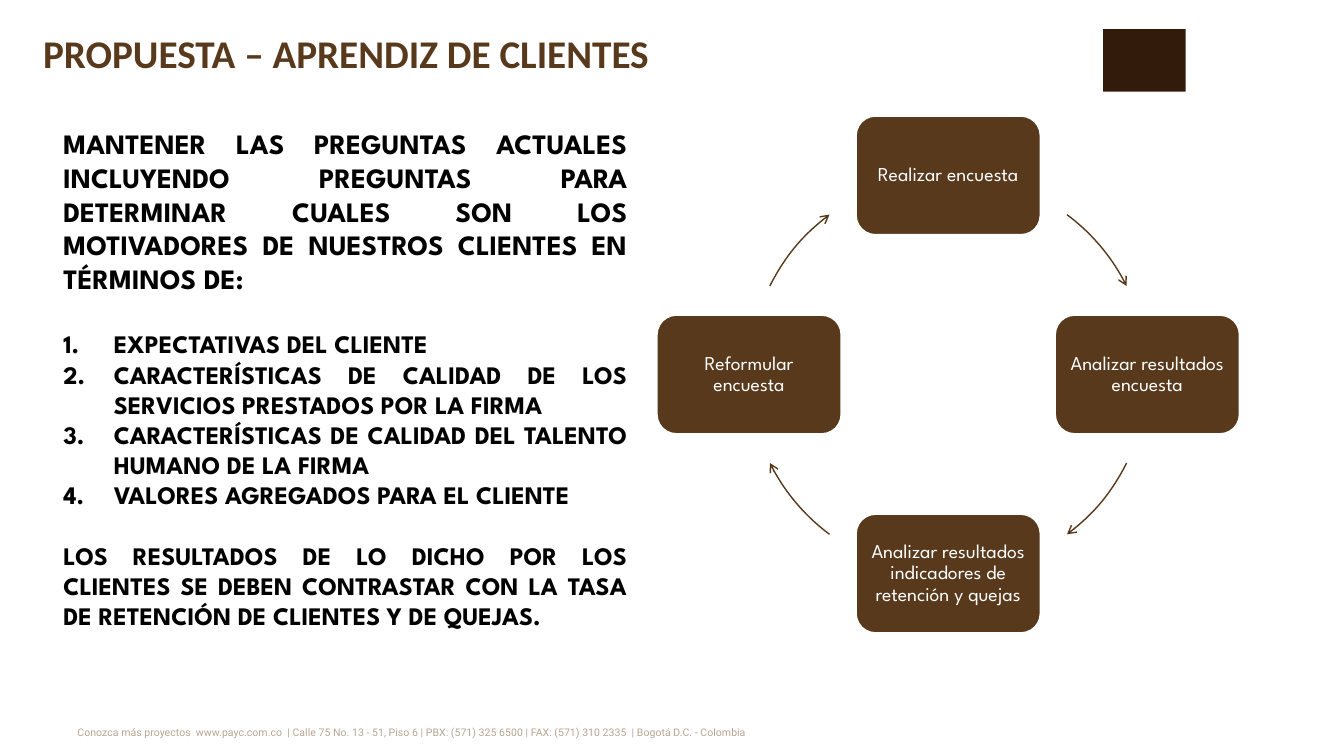
from dataclasses import dataclass
from math import cos, radians, sin

from lxml.etree import SubElement
from pptx import Presentation
from pptx.dml.color import RGBColor
from pptx.enum.shapes import MSO_SHAPE as Preset
from pptx.enum.text import MSO_ANCHOR as Anchor, PP_ALIGN as Align
from pptx.oxml.ns import qn
from pptx.util import Inches, Pt


@dataclass(frozen=True)
class Theme:
    brown: str = "58391C"
    dark: str = "321B0B"
    tan: str = "B8A592"
    white: str = "FFFFFF"
    black: str = "000000"
    title_font: str = "Calibri"
    body_font: str = "League Spartan"
    footer_font: str = "Roboto"
    title_size: int = 28
    lead_size: int = 20
    body_size: int = 18
    node_size: int = 14
    footer_size: int = 13


THEME = Theme()
TITLE = "PROPUESTA – APRENDIZ DE CLIENTES"
FOOTER = (
    "Conozca más proyectos  www.payc.com.co  | Calle 75 No. 13 - 51, Piso 6 | "
    "PBX: (571) 325 6500 | FAX: (571) 310 2335  | Bogotá D.C. - Colombia"
)
LEAD = (
    "MANTENER LAS PREGUNTAS ACTUALES INCLUYENDO PREGUNTAS PARA DETERMINAR "
    "CUALES SON LOS MOTIVADORES DE NUESTROS CLIENTES EN TÉRMINOS DE:"
)
TOPICS = [
    "EXPECTATIVAS DEL CLIENTE",
    "CARACTERÍSTICAS DE CALIDAD DE LOS SERVICIOS PRESTADOS POR LA FIRMA",
    "CARACTERÍSTICAS DE CALIDAD DEL TALENTO HUMANO DE LA FIRMA",
    "VALORES AGREGADOS PARA EL CLIENTE",
]
CLOSING = (
    "LOS RESULTADOS DE LO DICHO POR LOS CLIENTES SE DEBEN CONTRASTAR CON "
    "LA TASA DE RETENCIÓN DE CLIENTES Y DE QUEJAS."
)
STEPS = [
    "Realizar encuesta",
    "Analizar resultados encuesta",
    "Analizar resultados indicadores de retención y quejas",
    "Reformular encuesta",
]
ARROW_SPANS = [(306.6, 333.6), (26.4, 53.4), (126.6, 153.6), (206.4, 233.4)]


def apply(target, values):
    for name, value in values.items():
        setattr(target, name, value)


def write(para, text, font, size, color, bold=False, **layout):
    apply(para, layout)
    span = para.add_run()
    span.text = text
    apply(span.font, {"name": font, "size": Pt(size), "bold": bold})
    span.font.color.rgb = RGBColor.from_string(color)
    return span


def add_frame(page, box):
    frame = page.shapes.add_textbox(*map(Inches, box)).text_frame
    frame.word_wrap = True
    return frame


def add_preset(page, preset, box, fill=None, line=None, width=1):
    shape = page.shapes.add_shape(preset, *map(Inches, box))
    shape.shadow.inherit = False
    if fill:
        shape.fill.solid()
        shape.fill.fore_color.rgb = RGBColor.from_string(fill)
    else:
        shape.fill.background()
    if line:
        shape.line.color.rgb = RGBColor.from_string(line)
        shape.line.width = Pt(width)
    else:
        shape.line.fill.background()
    return shape


def add_title(page, box):
    frame = add_frame(page, box)
    write(frame.paragraphs[0], TITLE, THEME.title_font, THEME.title_size, THEME.brown, bold=True)


def add_footer(page, box):
    frame = add_frame(page, box)
    span = write(frame.paragraphs[0], FOOTER, THEME.footer_font, THEME.footer_size, THEME.tan)
    span.font._element.set("baseline", "30000")


def number(para):
    props = para._p.get_or_add_pPr()
    props.set("marL", str(Inches(0.5)))
    props.set("indent", str(Inches(-0.5)))
    SubElement(props, qn("a:buFont"), typeface="+mj-lt")
    SubElement(props, qn("a:buAutoNum"), type="arabicPeriod")


def add_proposal(page, box):
    frame = add_frame(page, box)
    style = {"font": THEME.body_font, "color": THEME.black, "bold": True, "alignment": Align.JUSTIFY}
    write(frame.paragraphs[0], LEAD, size=THEME.lead_size, **style)
    for index, topic in enumerate(TOPICS):
        para = frame.add_paragraph()
        gap = Pt(0 if index else 24)
        write(para, topic, size=THEME.body_size, space_before=gap, **style)
        number(para)
    write(frame.add_paragraph(), CLOSING, size=THEME.body_size, space_before=Pt(21.5), **style)


def add_step(page, box, text):
    shape = add_preset(page, Preset.ROUNDED_RECTANGLE, box, THEME.brown, THEME.white, 2)
    frame = shape.text_frame
    margins = {f"margin_{side}": Inches(0.06) for side in ("left", "top", "right", "bottom")}
    apply(frame, {"word_wrap": True, "vertical_anchor": Anchor.MIDDLE, **margins})
    write(
        frame.paragraphs[0], text, THEME.body_font, THEME.node_size, THEME.white,
        alignment=Align.CENTER, line_spacing=0.9,
    )


def add_arrow(page, box, span):
    arc = add_preset(page, Preset.ARC, box, line=THEME.brown)
    for index, degrees in enumerate(span):
        arc.adjustments[index] = degrees * 0.6
    SubElement(arc.line._get_or_add_ln(), qn("a:tailEnd"), type="arrow")


def add_cycle(page, box):
    left, top, size, _ = box
    radius = size / 2
    width, height = 1.84, 1.19
    for index, (text, span) in enumerate(zip(STEPS, ARROW_SPANS)):
        angle = radians(360 / len(STEPS) * index - 90)
        x = left + radius * (1 + cos(angle)) - width / 2
        y = top + radius * (1 + sin(angle)) - height / 2
        add_step(page, (x, y, width, height), text)
        add_arrow(page, box, span)


def main():
    deck = Presentation()
    apply(deck, {"slide_width": Inches(13.33), "slide_height": Inches(7.5)})
    page = deck.slides.add_slide(deck.slide_layouts[6])
    add_footer(page, (0.67, 7.13, 10.27, 0.39))
    add_preset(page, Preset.RECTANGLE, (10.94, 0.29, 0.82, 0.62), THEME.dark)
    add_title(page, (0.33, 0.24, 10.55, 0.73))
    add_cycle(page, (7.43, 1.74, 3.95, 3.95))
    add_proposal(page, (0.53, 1.21, 5.79, 5.15))
    deck.save("out.pptx")


if __name__ == "__main__":
    main()
